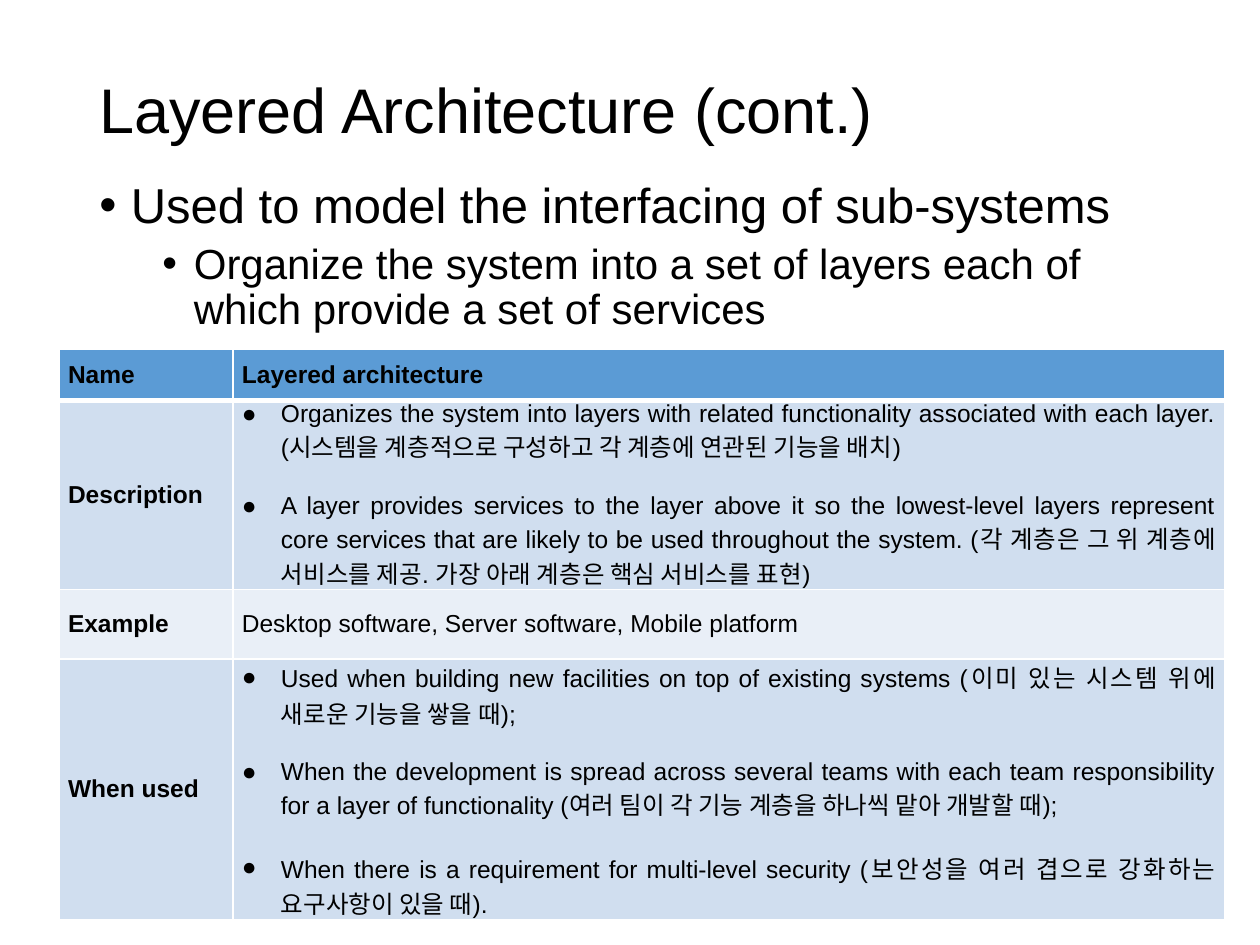
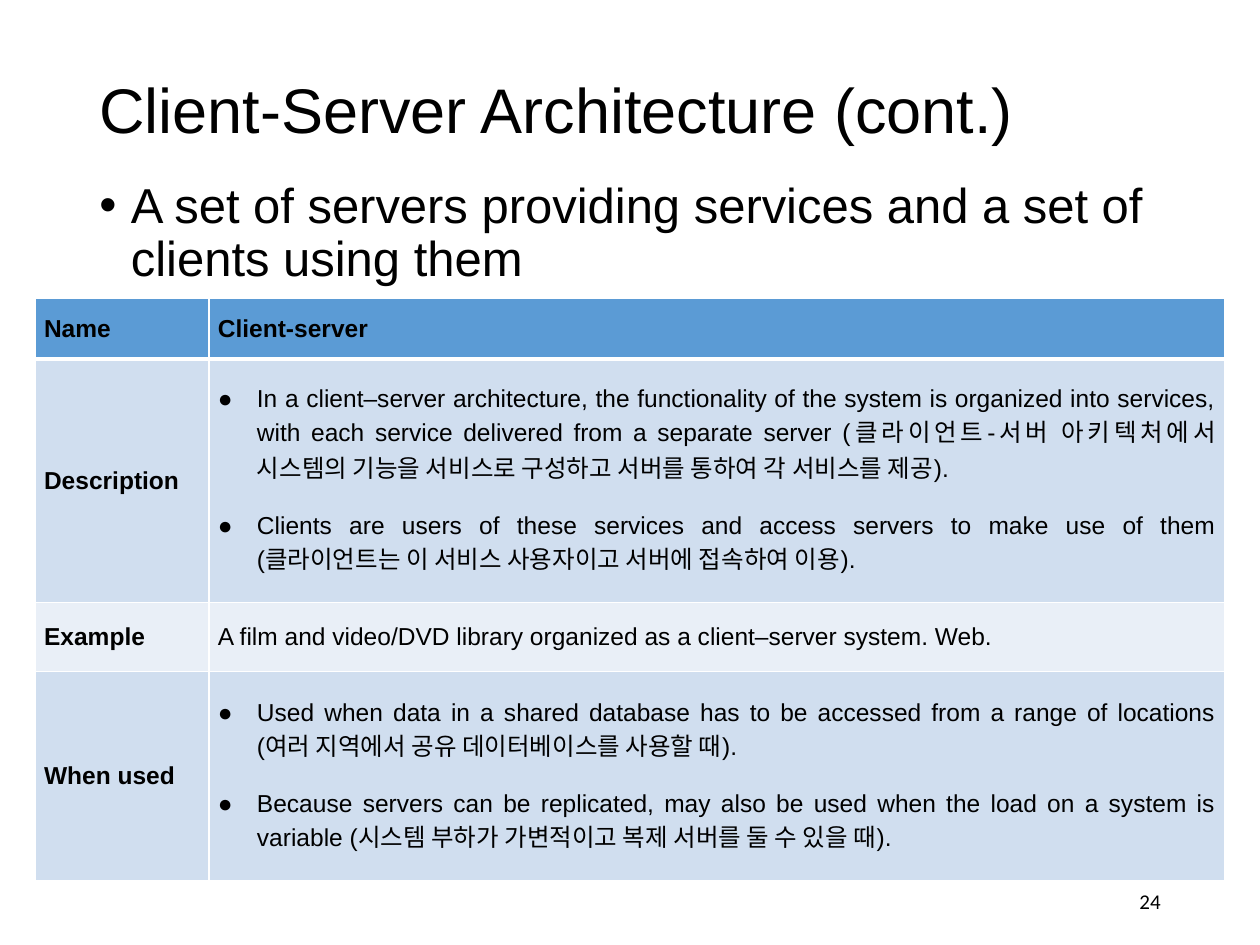
from dataclasses import dataclass

from lxml.etree import SubElement
from pptx import Presentation
from pptx.dml.color import RGBColor
from pptx.enum.text import MSO_ANCHOR, PP_ALIGN
from pptx.oxml.ns import qn
from pptx.slide import Slide
from pptx.table import _Cell
from pptx.text.text import TextFrame, _Paragraph
from pptx.util import Inches, Pt

BLACK = RGBColor(0x00, 0x00, 0x00)
WHITE = RGBColor(0xFF, 0xFF, 0xFF)
HEADER_BLUE = RGBColor(0x5B, 0x9B, 0xD5)
BAND_DARK = RGBColor(0xD0, 0xDE, 0xEF)
BAND_LIGHT = RGBColor(0xE9, 0xEF, 0xF7)
ROW_FILLS = (HEADER_BLUE, BAND_DARK, BAND_LIGHT, BAND_DARK)
ROW_LABELS = ("Name", "Description", "Example", "When used")

CONTENT_LEFT, CONTENT_WIDTH = 0.69, 8.62
LABEL_WIDTH = 1.38
TABLE_RIGHT = 9.72
BODY_SIZES = (28, 24)
TABLE_SIZE = 14
ITEM_GAP = 16


@dataclass(frozen=True)
class PatternTable:
    left: float
    top: float
    row_heights: tuple[float, float, float, float]
    name: str
    description: tuple[str, ...]
    example: str
    when_used: tuple[str, ...]


@dataclass(frozen=True)
class PatternSlide:
    title: str
    body: tuple[str, ...]
    table: PatternTable
    page_number: str = ""


SLIDES = (
    PatternSlide(
        title="Layered Architecture (cont.)",
        body=(
            "Used to model the interfacing of sub-systems",
            "Organize the system into a set of layers each of which provide a set of services",
        ),
        table=PatternTable(
            left=0.47,
            top=2.77,
            row_heights=(0.41, 1.5, 0.55, 2.07),
            name="Layered architecture",
            description=(
                "Organizes the system into layers with related functionality associated with "
                "each layer. (시스템을 계층적으로 구성하고 각 계층에 연관된 기능을 배치)",
                "A layer provides services to the layer above it so the lowest-level layers "
                "represent core services that are likely to be used throughout the system. "
                "(각 계층은 그 위 계층에 서비스를 제공. 가장 아래 계층은 핵심 서비스를 표현)",
            ),
            example="Desktop software, Server software, Mobile platform",
            when_used=(
                "Used when building new facilities on top of existing systems "
                "(이미 있는 시스템 위에 새로운 기능을 쌓을 때);",
                "When the development is spread across several teams with each team "
                "responsibility for a layer of functionality "
                "(여러 팀이 각 기능 계층을 하나씩 맡아 개발할 때);",
                "When there is a requirement for multi-level security "
                "(보안성을 여러 겹으로 강화하는 요구사항이 있을 때).",
            ),
        ),
    ),
    PatternSlide(
        title="Client-Server Architecture (cont.)",
        body=("A set of servers providing services and a set of clients using them",),
        table=PatternTable(
            left=0.28,
            top=2.37,
            row_heights=(0.48, 1.93, 0.55, 1.66),
            name="Client-server",
            description=(
                "In a client–server architecture, the functionality of the system is organized "
                "into services, with each service delivered from a separate server "
                "(클라이언트-서버 아키텍처에서 시스템의 기능을 서비스로 구성하고 서버를 통하여 "
                "각 서비스를 제공).",
                "Clients are users of these services and access servers to make use of them "
                "(클라이언트는 이 서비스 사용자이고 서버에 접속하여 이용).",
            ),
            example="A film and video/DVD library organized as a client–server system. Web.",
            when_used=(
                "Used when data in a shared database has to be accessed from a range of "
                "locations (여러 지역에서 공유 데이터베이스를 사용할 때).",
                "Because servers can be replicated, may also be used when the load on a system "
                "is variable (시스템 부하가 가변적이고 복제 서버를 둘 수 있을 때).",
            ),
        ),
        page_number="24",
    ),
)


def style_runs(paragraph: _Paragraph, size: float, bold: bool = False, font: str = "Arial") -> None:
    for run in paragraph.runs:
        run.font.name = font
        run.font.size = Pt(size)
        run.font.bold = bold
        run.font.color.rgb = BLACK


def add_bullet(paragraph: _Paragraph, character: str, margin: float, hanging: float) -> None:
    """Give the paragraph a bullet; call it after its spacing is set."""
    properties = paragraph._p.get_or_add_pPr()
    properties.set("marL", str(Inches(margin)))
    properties.set("indent", str(-Inches(hanging)))
    color = SubElement(properties, qn("a:buClr"))
    SubElement(color, qn("a:srgbClr"), val=str(BLACK))
    SubElement(properties, qn("a:buFont"), typeface="Arial")
    SubElement(properties, qn("a:buChar"), char=character)


def write_paragraphs(text_frame: TextFrame, texts: tuple[str, ...]) -> list[_Paragraph]:
    text_frame.text = "\n".join(texts)
    return list(text_frame.paragraphs)


def add_text_box(
    slide: Slide, left: float, top: float, width: float, height: float, anchor: MSO_ANCHOR
) -> TextFrame:
    text_box = slide.shapes.add_textbox(Inches(left), Inches(top), Inches(width), Inches(height))
    text_frame = text_box.text_frame
    text_frame.word_wrap = True
    text_frame.vertical_anchor = anchor
    return text_frame


def add_title(slide: Slide, title: str) -> None:
    text_frame = add_text_box(slide, CONTENT_LEFT, 0.4, CONTENT_WIDTH, 0.99, MSO_ANCHOR.MIDDLE)
    text_frame.text = title
    paragraph = text_frame.paragraphs[0]
    paragraph.line_spacing = 0.9
    style_runs(paragraph, 36)


def add_body(slide: Slide, texts: tuple[str, ...]) -> None:
    """Write each text one outline level below the text before it."""
    text_frame = add_text_box(slide, CONTENT_LEFT, 1.39, CONTENT_WIDTH, 5.51, MSO_ANCHOR.TOP)
    for level, paragraph in enumerate(write_paragraphs(text_frame, texts)):
        paragraph.level = level
        paragraph.line_spacing = 0.9
        paragraph.space_before = Pt(5 * level)
        add_bullet(paragraph, "•", 0.25 + 0.5 * level, 0.25)
        style_runs(paragraph, BODY_SIZES[level])


def add_page_number(slide: Slide, number: str) -> None:
    text_frame = add_text_box(slide, 7.06, 6.95, 2.25, 0.4, MSO_ANCHOR.MIDDLE)
    text_frame.text = number
    paragraph = text_frame.paragraphs[0]
    paragraph.alignment = PP_ALIGN.RIGHT
    style_runs(paragraph, 12, font="Calibri")


def add_borders(cell: _Cell, top: float, bottom: float) -> None:
    """Draw white cell borders; call it before the cell is filled."""
    properties = cell._tc.get_or_add_tcPr()
    for side, width in (("L", 1), ("R", 1), ("T", top), ("B", bottom)):
        line = SubElement(properties, qn(f"a:ln{side}"), w=str(Pt(width)))
        fill = SubElement(line, qn("a:solidFill"))
        SubElement(fill, qn("a:srgbClr"), val=str(WHITE))


def fill_cell(cell: _Cell, row: int, texts: tuple[str, ...], bold: bool) -> None:
    add_borders(cell, top=3 if row == 1 else 1, bottom=3 if row == 0 else 1)
    cell.fill.solid()
    cell.fill.fore_color.rgb = ROW_FILLS[row]
    cell.vertical_anchor = MSO_ANCHOR.MIDDLE
    cell.margin_left = cell.margin_right = Inches(0.07)
    cell.margin_top = cell.margin_bottom = Inches(0)
    for index, paragraph in enumerate(write_paragraphs(cell.text_frame, texts)):
        paragraph.alignment = PP_ALIGN.JUSTIFY
        if index:
            paragraph.space_before = Pt(ITEM_GAP)
        if len(texts) > 1:
            add_bullet(paragraph, "●", 0.31, 0.31)
        style_runs(paragraph, TABLE_SIZE, bold)


def add_pattern_table(slide: Slide, pattern: PatternTable) -> None:
    width = TABLE_RIGHT - pattern.left
    table = slide.shapes.add_table(
        len(ROW_LABELS), 2, Inches(pattern.left), Inches(pattern.top),
        Inches(width), Inches(sum(pattern.row_heights)),
    ).table
    table.horz_banding = False
    table.columns[0].width = Inches(LABEL_WIDTH)
    table.columns[1].width = Inches(width - LABEL_WIDTH)
    contents = ((pattern.name,), pattern.description, (pattern.example,), pattern.when_used)
    for row, (label, texts) in enumerate(zip(ROW_LABELS, contents)):
        table.rows[row].height = Inches(pattern.row_heights[row])
        fill_cell(table.cell(row, 0), row, (label,), bold=True)
        fill_cell(table.cell(row, 1), row, texts, bold=row == 0)


def main() -> None:
    presentation = Presentation()
    presentation.slide_width = Inches(10)
    presentation.slide_height = Inches(7.5)
    blank_layout = presentation.slide_layouts[6]
    for content in SLIDES:
        slide = presentation.slides.add_slide(blank_layout)
        add_title(slide, content.title)
        add_body(slide, content.body)
        if content.page_number:
            add_page_number(slide, content.page_number)
        add_pattern_table(slide, content.table)
    presentation.save("out.pptx")


if __name__ == "__main__":
    main()
